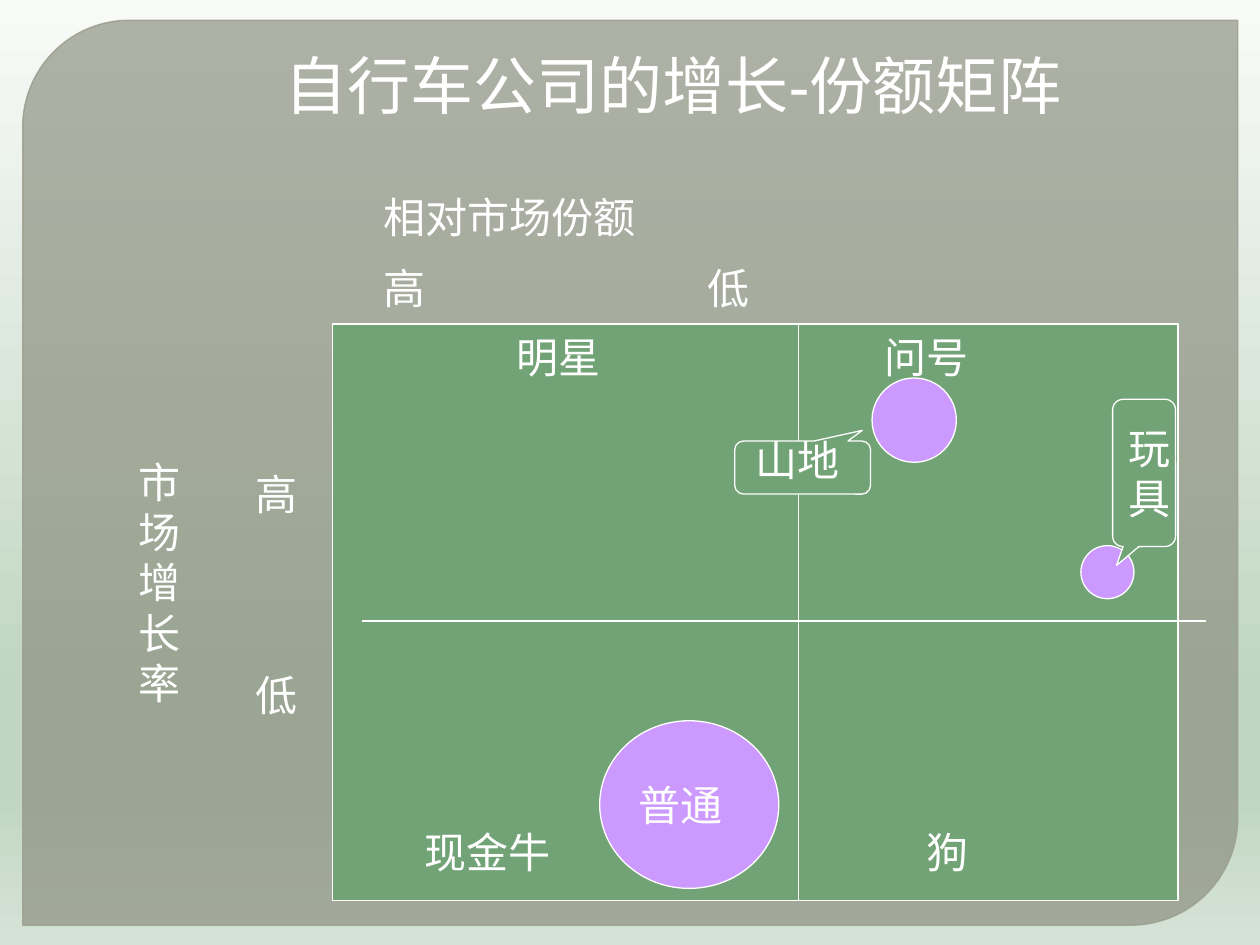
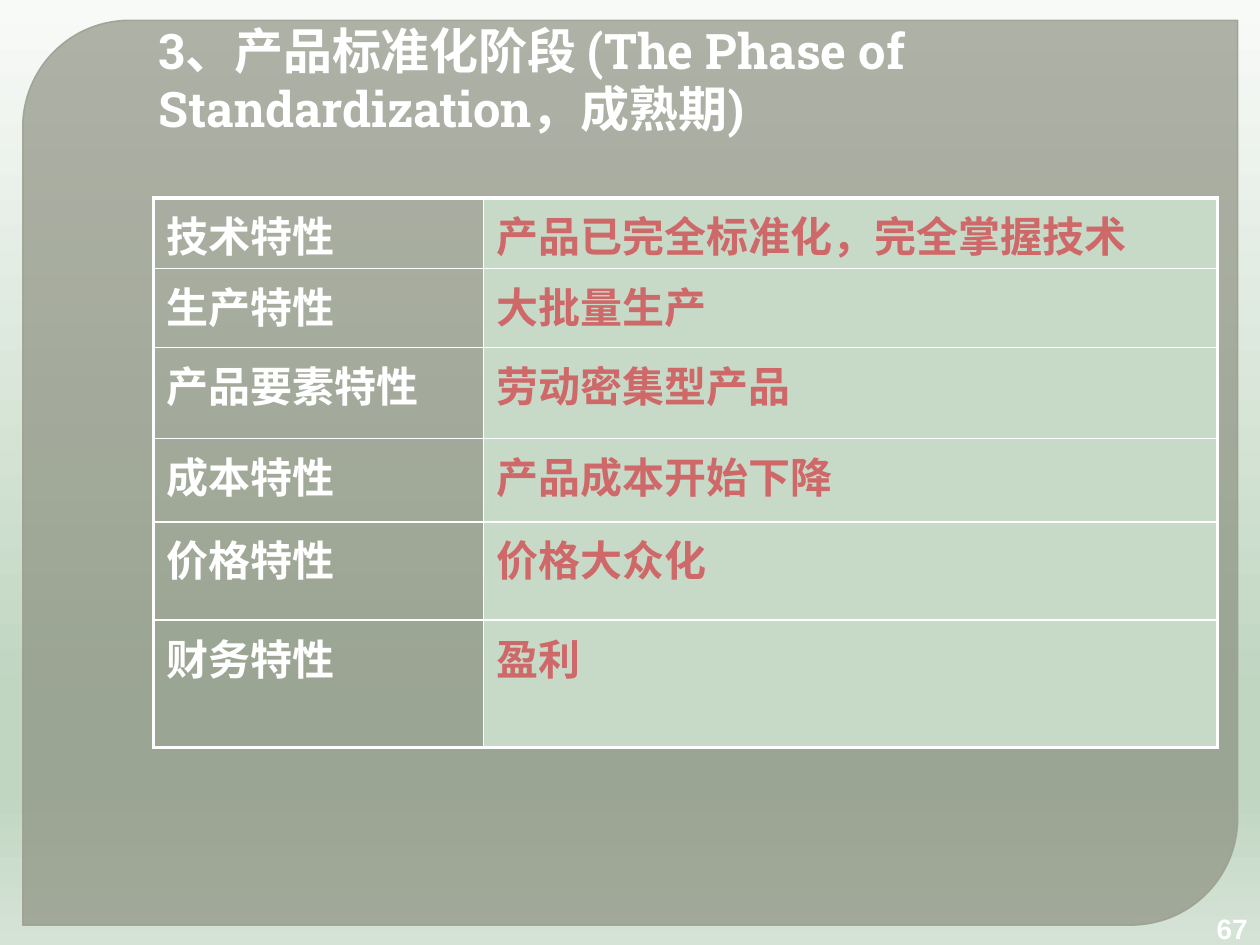
from lxml.etree import SubElement
from pptx import Presentation
from pptx.dml.color import RGBColor
from pptx.enum.shapes import MSO_CONNECTOR, MSO_SHAPE
from pptx.enum.text import MSO_ANCHOR, PP_ALIGN
from pptx.oxml.ns import qn
from pptx.util import Cm, Pt

WHITE, GREEN, PURPLE = "FFFFFF", "72A376", "CC99FF"
PANEL, PANEL_EDGE = "888B7B", "9DA090"
PALE_GREEN, RED = "C7DAC8", "CF6868"
BACKGROUND_STOPS = [(0, "F8FAF8"), (74, "C0D6C1"), (83, "C0D6C1"), (100, "D5E3D6")]
SANS, SLAB, LATIN = "Noto Sans CJK SC", "Roboto Slab", "Arial"
THIN, CELL_LINE, FRAME_LINE = 0.75, 1, 2.25

MATRIX_BOX = (6.71, 6.53, 17.04, 11.63)
TABLE_BOX = (3.1, 3.99, 21.44, 11.07)
QUADRANTS = [
    ("明星", 3.45, 0.02, 4.24, SLAB),
    ("问号", 10.87, 0.02, 6.55, SANS),
    ("现金牛", 1.6, 10, 4.65, SANS),
    ("狗", 11.71, 10, 2.74, SANS),
]
FEATURES = [
    ("技术特性", "产品已完全标准化，完全掌握技术", 1.42),
    ("生产特性", "大批量生产", 1.6),
    ("产品要素特性", "劳动密集型产品", 1.83),
    ("成本特性", "产品成本开始下降", 1.68),
    ("价格特性", "价格大众化", 1.98),
    ("财务特性", "盈利", 2.57),
]


def color(value):
    """Turn a hex string into a colour."""
    return RGBColor.from_string(value)


def within(box, left, top, width, height):
    """Shift a rectangle given relative to a box onto the slide."""
    return box[0] + left, box[1] + top, width, height


def set_alpha(fill_parent, percent):
    """Make the solid fill inside an element partly transparent."""
    tone = fill_parent.find(qn("a:solidFill")).find(qn("a:srgbClr"))
    SubElement(tone, qn("a:alpha")).set("val", str(percent * 1000))


def write(frame, lines, font=SANS, size=24, tone=WHITE, bold=False, gap=0, align=PP_ALIGN.LEFT):
    """Write lines as paragraphs with a gap between them."""
    for index, line in enumerate(lines):
        paragraph = frame.add_paragraph() if index else frame.paragraphs[0]
        paragraph.alignment = align
        if index and gap:
            paragraph.space_before = Pt(gap)
        run = paragraph.add_run()
        run.text = line
        run.font.name, run.font.size, run.font.bold = font, Pt(size), bold
        run.font.color.rgb = color(tone)


def add_text(slide, box, lines, anchor=MSO_ANCHOR.TOP, wrap=True, **style):
    """Add a text box and return its frame."""
    frame = slide.shapes.add_textbox(*map(Cm, box)).text_frame
    frame.word_wrap = wrap
    frame.vertical_anchor = anchor
    write(frame, lines, **style)
    return frame


def add_figure(slide, kind, box, fill, lines=(), adjustments=(), font=SANS):
    """Add a filled shape with a thin white outline."""
    shape = slide.shapes.add_shape(kind, *map(Cm, box))
    shape.shadow.inherit = False
    shape.fill.solid()
    shape.fill.fore_color.rgb = color(fill)
    shape.line.color.rgb = color(WHITE)
    shape.line.width = Pt(THIN)
    for index, value in enumerate(adjustments):
        shape.adjustments[index] = value
    if lines:
        shape.text_frame.word_wrap = False
        shape.text_frame.vertical_anchor = MSO_ANCHOR.MIDDLE
        write(shape.text_frame, lines, font=font)
    return shape


def add_divider(slide, start, end):
    """Add a thin white straight line."""
    line = slide.shapes.add_connector(MSO_CONNECTOR.STRAIGHT, *map(Cm, start + end))
    line.line.color.rgb = color(WHITE)
    line.line.width = Pt(THIN)
    SubElement(line.element.spPr, qn("a:effectLst"))


def style_master(master, slide):
    """Give the master its gradient background and rounded panel."""
    fill = master.background.fill
    fill.gradient()
    fill.gradient_angle = 270
    stops = master.element.find(".//" + qn("a:gsLst"))
    for stop in list(stops):
        stops.remove(stop)
    for position, tone in BACKGROUND_STOPS:
        stop = SubElement(stops, qn("a:gs"), pos=str(position * 1000))
        SubElement(stop, qn("a:srgbClr"), val=tone)

    panel = add_figure(slide, MSO_SHAPE.ROUND_2_DIAG_RECTANGLE, (0.46, 0.41, 24.49, 18.24),
                       PANEL, adjustments=(0.118, 0))
    panel.line.color.rgb = color(PANEL_EDGE)
    panel.line.width = Pt(0.87)
    set_alpha(panel.element.spPr, 65)
    set_alpha(panel.element.spPr.find(qn("a:ln")), 88)
    panel.element.nvSpPr.cNvPr.set("id", "90")
    master.shapes.element.append(panel.element)


def draw_matrix(slide, box):
    """Draw the four quadrants with their products."""
    left, top, width, height = box
    add_figure(slide, MSO_SHAPE.RECTANGLE, box, GREEN)
    add_divider(slide, (left + 0.58, top + 5.99), (left + 17.6, top + 5.99))
    add_divider(slide, (left + 9.39, top), (left + 9.39, top + height))

    add_figure(slide, MSO_SHAPE.OVAL, within(box, 5.38, 8, 3.61, 3.38), PURPLE, ["普通"], font=SLAB)
    for across, down, diameter in [(10.87, 1.09, 1.7), (15.08, 4.47, 1.07)]:
        add_figure(slide, MSO_SHAPE.OVAL, within(box, across, down, diameter, diameter), PURPLE)

    for name, across, down, label_width, font in QUADRANTS:
        add_text(slide, within(box, across, down, label_width, 1.27), [name], font=font)

    callout = MSO_SHAPE.ROUNDED_RECTANGULAR_CALLOUT
    add_figure(slide, callout, within(box, 15.72, 1.52, 1.27, 2.97), GREEN, ["玩", "具"],
               (-0.438, 0.628, 0.167))
    mountain = add_figure(slide, callout, within(box, 8.1, 2.36, 2.74, 1.07), GREEN,
                          adjustments=(-0.438, 0.7, 0.167))
    mountain.rotation = 180
    add_text(slide, within(box, 8.28, 2.11, 2.21, 1.27), ["山地"], wrap=False, font=SLAB)


def draw_axes(slide, box):
    """Label the share axis above and the growth axis left of the matrix."""
    share = add_text(slide, within(box, 0.78, -2.8, 16.71, 2.82), ["相对市场份额", "高\t低"], gap=12)
    properties = share.paragraphs[1]._p.get_or_add_pPr()
    tabs = SubElement(properties, qn("a:tabLst"))
    SubElement(tabs, qn("a:tab"), pos=str(Cm(6.53)), algn="l")
    add_text(slide, within(box, -4.17, 2.54, 1.9, 5.38), ["市场增长率"])
    add_text(slide, within(box, -1.81, 2.79, 2.34, 5.38), ["高", "低"], gap=86)


def set_borders(cell, widths):
    """Draw the left, right, top and bottom borders of a cell in white."""
    properties = cell._tc.get_or_add_tcPr()
    for index, (side, width) in enumerate(zip(("lnL", "lnR", "lnT", "lnB"), widths)):
        line = properties.makeelement(qn("a:" + side), {"w": str(Pt(width))})
        fill = SubElement(line, qn("a:solidFill"))
        SubElement(fill, qn("a:srgbClr"), val=WHITE)
        properties.insert(index, line)


def draw_features(slide, box):
    """Draw the table of features of the phase."""
    table = slide.shapes.add_table(len(FEATURES), 2, *map(Cm, box)).table
    table.first_row = table.horz_banding = False
    table.columns[0].width = Cm(6.65)
    table.columns[1].width = Cm(box[2] - 6.65)
    last = len(FEATURES) - 1
    for row, (feature, description, height) in enumerate(FEATURES):
        table.rows[row].height = Cm(height)
        for column, (text, tone) in enumerate([(feature, WHITE), (description, RED)]):
            cell = table.cell(row, column)
            if column:
                cell.fill.solid()
                cell.fill.fore_color.rgb = color(PALE_GREEN)
            else:
                cell.fill.background()
            outer = (column == 0, column == 1, row == 0, row == last)
            set_borders(cell, [FRAME_LINE if edge else CELL_LINE for edge in outer])
            write(cell.text_frame, [text], font=LATIN, tone=tone, bold=True)


def add_title(slide, box, text, **style):
    """Add a slide title centred on its height."""
    add_text(slide, box, [text], anchor=MSO_ANCHOR.MIDDLE, **style)


def build_matrix_slide(slide):
    """Build the growth-share matrix slide."""
    draw_matrix(slide, MATRIX_BOX)
    draw_axes(slide, MATRIX_BOX)
    add_title(slide, (5.49, 0.53, 17.4, 2.34), "自行车公司的增长-份额矩阵", font=LATIN, size=36)


def build_phase_slide(slide):
    """Build the standardization phase slide."""
    add_text(slide, (23.57, 18.26, 1.83, 0.66), ["67"], font=LATIN, size=16, bold=True,
             align=PP_ALIGN.RIGHT)
    add_title(slide, (2.95, 0.28, 20.73, 2.62),
              "3、产品标准化阶段 (The Phase of Standardization，成熟期)",
              font=SLAB, size=28, bold=True)
    draw_features(slide, TABLE_BOX)


def main():
    """Build and save the presentation."""
    presentation = Presentation()
    presentation.slide_width, presentation.slide_height = Cm(25.4), Cm(19.05)
    blank = presentation.slide_layouts[6]
    matrix_slide = presentation.slides.add_slide(blank)
    style_master(presentation.slide_master, matrix_slide)
    build_matrix_slide(matrix_slide)
    build_phase_slide(presentation.slides.add_slide(blank))
    presentation.save("out.pptx")


if __name__ == "__main__":
    main()
